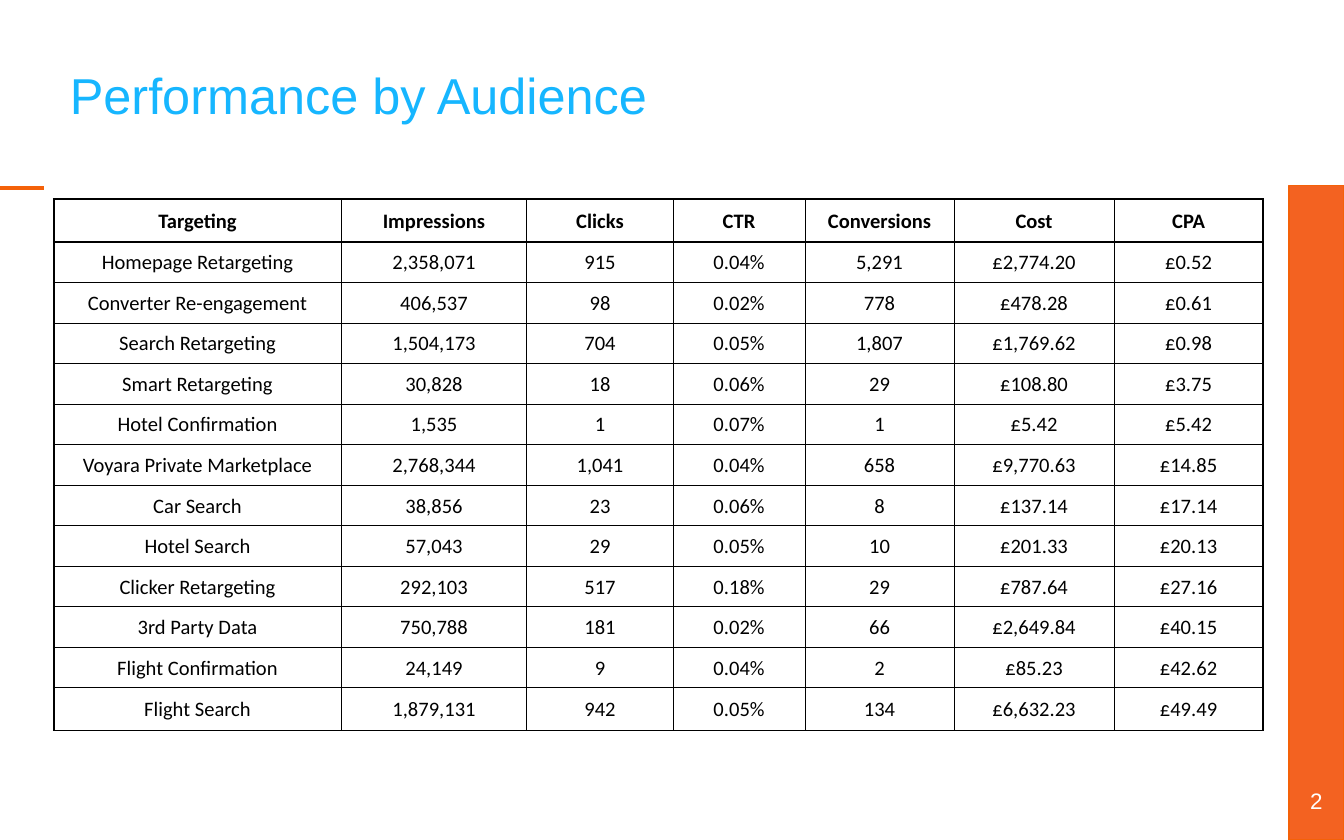
from lxml import etree
from pptx import Presentation
from pptx.dml.color import RGBColor
from pptx.enum.shapes import MSO_CONNECTOR, MSO_SHAPE
from pptx.enum.text import MSO_ANCHOR, PP_ALIGN
from pptx.oxml.ns import qn
from pptx.util import Inches, Pt

RECT = MSO_SHAPE.RECTANGLE
LINE = MSO_CONNECTOR.STRAIGHT
MIDDLE = MSO_ANCHOR.MIDDLE
LEFT, CENTER = PP_ALIGN.LEFT, PP_ALIGN.CENTER

ORANGE = RGBColor(0xF3, 0x62, 0x21)
EDGE = RGBColor(0xF4, 0x61, 0x09)
BLUE = RGBColor(0x16, 0xB6, 0xFF)
WHITE = RGBColor(0xFF, 0xFF, 0xFF)
BLACK = RGBColor(0, 0, 0)

# Grid of square units: 100 columns by 62.5 rows
WIDTH, HEIGHT = Inches(10), Inches(6.25)
UNIT = WIDTH // 100

SHARES = (2.14, 1.38, 1.09, 0.98, 1.11, 1.19, 1.11)
END_ROW = 3.2  # height of the first and last table rows, in units
THIN, THICK = 0.5, 1

DATA = [
    ("Targeting", "Impressions", "Clicks", "CTR", "Conversions", "Cost", "CPA"),
    ("Homepage Retargeting", "2,358,071", "915", "0.04%", "5,291", "£2,774.20", "£0.52"),
    ("Converter Re-engagement", "406,537", "98", "0.02%", "778", "£478.28", "£0.61"),
    ("Search Retargeting", "1,504,173", "704", "0.05%", "1,807", "£1,769.62", "£0.98"),
    ("Smart Retargeting", "30,828", "18", "0.06%", "29", "£108.80", "£3.75"),
    ("Hotel Confirmation", "1,535", "1", "0.07%", "1", "£5.42", "£5.42"),
    ("Voyara Private Marketplace", "2,768,344", "1,041", "0.04%", "658", "£9,770.63", "£14.85"),
    ("Car Search", "38,856", "23", "0.06%", "8", "£137.14", "£17.14"),
    ("Hotel Search", "57,043", "29", "0.05%", "10", "£201.33", "£20.13"),
    ("Clicker Retargeting", "292,103", "517", "0.18%", "29", "£787.64", "£27.16"),
    ("3rd Party Data", "750,788", "181", "0.02%", "66", "£2,649.84", "£40.15"),
    ("Flight Confirmation", "24,149", "9", "0.04%", "2", "£85.23", "£42.62"),
    ("Flight Search", "1,879,131", "942", "0.05%", "134", "£6,632.23", "£49.49"),
]


def units(*sizes):
    return [round(size * UNIT) for size in sizes]


def style(para, face, size, color, align, bold=False):
    para.alignment = align
    font = para.font
    font.name, font.size, font.bold = face, Pt(size), bold
    font.color.rgb = color


def label(slide, box, text, size, color, align):
    frame = slide.shapes.add_textbox(*units(*box)).text_frame
    frame.word_wrap = True
    frame.vertical_anchor = MIDDLE
    frame.margin_left = frame.margin_right = 0
    frame.margin_top = frame.margin_bottom = 0
    para = frame.paragraphs[0]
    para.text = text
    style(para, "Arial", size, color, align)
    return para


def add_rail(slide, box, page):
    # Orange side bar with the page number near its foot
    left, top, width, height = box
    bar = slide.shapes.add_shape(RECT, *units(*box))
    bar.shadow.inherit = False
    bar.fill.solid()
    bar.fill.fore_color.rgb = ORANGE
    bar.line.color.rgb = EDGE
    bar.line.width = Pt(0.75)
    spot = (left, top + height - 4.6, width, 3.3)
    label(slide, spot, page, 12, WHITE, CENTER)


def add_dash(slide, box):
    # Short accent line at the left edge
    left, top, width, height = box
    ends = units(left, top, left + width, top + height)
    dash = slide.shapes.add_connector(LINE, *ends)
    dash.line.color.rgb = EDGE
    dash.line.width = Pt(2.25)
    etree.SubElement(dash._element.spPr, qn("a:effectLst"))


def add_title(slide, box, text):
    para = label(slide, box, text, 27, BLUE, LEFT)
    para.line_spacing = Pt(27.4)


def set_edges(cell, widths):
    props = cell._tc.get_or_add_tcPr()
    for tag, width in widths.items():
        edge = etree.SubElement(props, qn(f"a:{tag}"), w=str(Pt(width)))
        fill = etree.SubElement(edge, qn("a:solidFill"))
        etree.SubElement(fill, qn("a:srgbClr"), val=str(BLACK))


def add_grid(slide, box, data):
    left, top, width, height = box
    last, end = len(data) - 1, len(SHARES) - 1
    table = slide.shapes.add_table(last + 1, end + 1, *units(*box)).table
    table.first_row = table.horz_banding = False

    # Column widths and row heights
    for col, share in zip(table.columns, SHARES):
        col.width, = units(width * share / sum(SHARES))
    inner = (height - 2 * END_ROW) / (last - 1)
    for r, row in enumerate(table.rows):
        row.height, = units(END_ROW if r in (0, last) else inner)

    # Cell text, with heavier lines round the table and below the header
    for r, line in enumerate(data):
        for c, text in enumerate(line):
            cell = table.cell(r, c)
            set_edges(cell, {
                "lnL": THICK if c == 0 else THIN,
                "lnR": THICK if c == end else THIN,
                "lnT": THICK if r in (0, 1) else THIN,
                "lnB": THICK if r in (0, last) else THIN,
            })
            cell.fill.background()
            cell.vertical_anchor = MIDDLE
            cell.margin_left, cell.margin_right, cell.margin_top = units(0.1, 0.1, 0.1)
            cell.margin_bottom = 0
            para = cell.text_frame.paragraphs[0]
            para.text = text
            style(para, "Calibri", 11, BLACK, CENTER, bold=r == 0)


def main():
    deck = Presentation()
    deck.slide_width, deck.slide_height = WIDTH, HEIGHT
    slide = deck.slides.add_slide(deck.slide_layouts[6])
    add_rail(slide, (95.9, 13.8, 4.1, 48.7), "2")
    add_dash(slide, (0, 14, 3.3, 0))
    add_title(slide, (5.2, 2.4, 86.7, 9.9), "Performance by Audience")
    add_grid(slide, (4, 14.8, 90, 39.6), DATA)
    deck.save("out.pptx")


if __name__ == "__main__":
    main()
